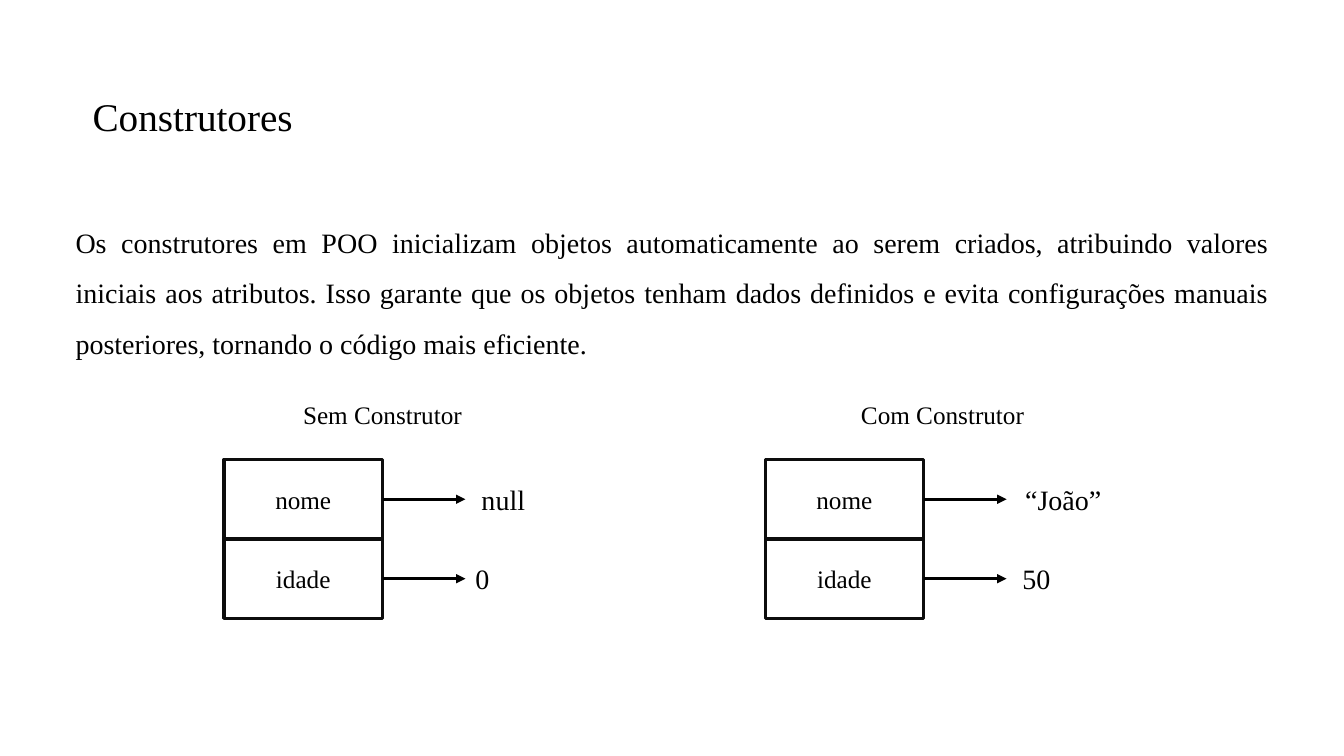
from collections import namedtuple
from dataclasses import dataclass

from lxml.etree import SubElement
from pptx import Presentation
from pptx.dml.color import RGBColor
from pptx.enum.shapes import MSO_CONNECTOR as Connector, MSO_SHAPE as Shape
from pptx.enum.text import MSO_ANCHOR as Anchor, MSO_AUTO_SIZE as AutoSize, PP_ALIGN as Align
from pptx.oxml.ns import qn
from pptx.util import Pt

Box = namedtuple("Box", "left top width height")


@dataclass(frozen=True)
class Theme:
    font: str = "Times New Roman"
    ink: RGBColor = RGBColor(0, 0, 0)
    paper: RGBColor = RGBColor(255, 255, 255)
    border: RGBColor = RGBColor(0x0D, 0x0D, 0x0D)
    title: int = 28
    body: int = 20
    label: int = 18
    stroke: float = 2.25


THEME = Theme()
ROW_HEIGHT = 56.75
FIELD_WIDTH = 113.25
ARROW_LENGTH = 59.25
VALUE_HEIGHT = 31.5
LABEL_HEIGHT = 29
FIELDS_OFFSET = 46.75


def apply(target, values):
    for name, value in values.items():
        setattr(target, name, value)


def place(shape, box):
    apply(shape, {name: Pt(value) for name, value in box._asdict().items()})


def write(shape, text, size, align=Align.CENTER, anchor=Anchor.TOP, **spacing):
    frame = shape.text_frame
    apply(frame, {"word_wrap": True, "auto_size": AutoSize.NONE, "vertical_anchor": anchor})
    para = frame.paragraphs[0]
    apply(para, {"alignment": align, **spacing})
    span = para.add_run()
    span.text = text
    apply(span.font, {"name": THEME.font, "size": Pt(size)})
    span.font.color.rgb = THEME.ink
    return para


def add_label(group, text, size, box):
    label = group.shapes.add_textbox(*map(Pt, box))
    write(label, text, size)


def add_field(group, text, box):
    field = group.shapes.add_shape(Shape.RECTANGLE, *map(Pt, box))
    field.shadow.inherit = False
    field.fill.solid()
    field.fill.fore_color.rgb = THEME.paper
    field.line.color.rgb = THEME.border
    field.line.width = Pt(THEME.stroke)
    write(field, text, THEME.label, anchor=Anchor.MIDDLE)


def add_arrow(group, left, middle):
    arrow = group.shapes.add_connector(
        Connector.STRAIGHT, Pt(left), Pt(middle), Pt(left + ARROW_LENGTH), Pt(middle))
    arrow.line.color.rgb = THEME.ink
    arrow.line.width = Pt(THEME.stroke)
    SubElement(arrow.line._get_or_add_ln(), qn("a:tailEnd"), type="triangle")
    SubElement(arrow._element.spPr, qn("a:effectLst"))


def add_title(page, box):
    title = page.shapes.title
    place(title, box)
    write(title, "Construtores", THEME.title, Align.LEFT, Anchor.MIDDLE, line_spacing=0.9)


def add_body(page, box):
    body = page.placeholders[1]
    place(body, box)
    para = write(
        body,
        "Os construtores em POO inicializam objetos automaticamente ao serem criados, "
        "atribuindo valores iniciais aos atributos. Isso garante que os objetos tenham "
        "dados definidos e evita configurações manuais posteriores, tornando o código "
        "mais eficiente.",
        THEME.body, Align.JUSTIFY, line_spacing=1.5, space_before=Pt(10))
    properties = para._p.get_or_add_pPr()
    properties.set("marL", "0")
    properties.set("indent", "0")
    SubElement(properties, qn("a:buNone"))


def add_diagram(page, box, heading, fields):
    group = page.shapes.add_group_shape()
    add_label(group, heading, THEME.label, box._replace(height=LABEL_HEIGHT))
    arrow_left = box.left + FIELD_WIDTH
    value_left = arrow_left + ARROW_LENGTH
    for row, (name, value, value_width) in enumerate(fields):
        top = box.top + FIELDS_OFFSET + row * ROW_HEIGHT
        middle = top + ROW_HEIGHT / 2
        add_field(group, name, Box(box.left, top, FIELD_WIDTH, ROW_HEIGHT))
        add_arrow(group, arrow_left, middle)
        add_label(group, value, THEME.body,
                  Box(value_left, middle - VALUE_HEIGHT / 2, value_width, VALUE_HEIGHT))


def main():
    deck = Presentation()
    apply(deck, {"slide_width": Pt(960), "slide_height": Pt(540)})
    page = deck.slides.add_slide(deck.slide_layouts[1])
    add_title(page, Box(59, 67, 741, 35))
    add_body(page, Box(46.75, 145.5, 867, 117.5))
    add_diagram(page, Box(160, 281.5, 226.5, 160.25), "Sem Construtor",
                [("nome", "null", 54), ("idade", "0", 24)])
    add_diagram(page, Box(546.5, 281.5, 253.5, 160.25), "Com Construtor",
                [("nome", "“João”", 81), ("idade", "50", 42.5)])
    deck.save("out.pptx")


if __name__ == "__main__":
    main()
